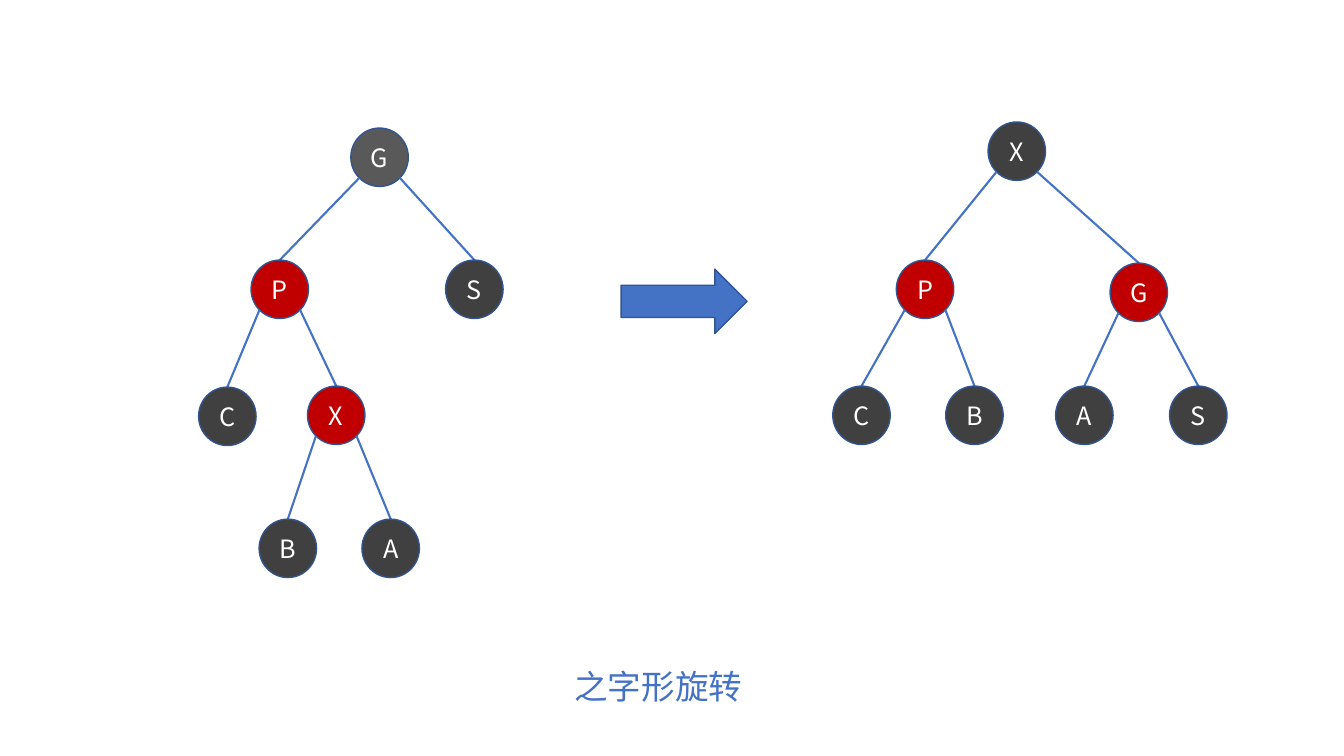
from dataclasses import dataclass
from math import sqrt
from typing import Optional

from lxml.etree import SubElement
from pptx import Presentation
from pptx.dml.color import RGBColor
from pptx.enum.shapes import MSO_CONNECTOR as Connector, MSO_SHAPE as Shape
from pptx.enum.text import MSO_ANCHOR as Anchor, MSO_AUTO_SIZE as AutoSize, PP_ALIGN as Align
from pptx.oxml.ns import qn
from pptx.util import Emu, Pt

PX = 9144
FONT = "Noto Sans CJK SC"
WHITE = RGBColor(0xFF, 0xFF, 0xFF)
BLUE = RGBColor(0x44, 0x72, 0xC4)
OUTLINE = RGBColor(0x32, 0x54, 0x91)
RED = RGBColor(0xC0, 0x00, 0x00)
BLACK = RGBColor(0x40, 0x40, 0x40)
GRAY = RGBColor(0x59, 0x59, 0x59)
NODE_WIDTH, NODE_HEIGHT = 57, 58


@dataclass(frozen=True)
class Node:
    label: str
    left: int
    top: int
    color: RGBColor = BLACK
    smaller: Optional["Node"] = None
    larger: Optional["Node"] = None


BEFORE = Node(
    "G", 348, 127, GRAY,
    Node("P", 249, 258, RED,
         Node("C", 197, 384),
         Node("X", 305, 383, RED, Node("B", 257, 515), Node("A", 359, 515))),
    Node("S", 442, 258),
)
AFTER = Node(
    "X", 980, 121, BLACK,
    Node("P", 889, 258, RED, Node("C", 826, 383), Node("B", 938, 383)),
    Node("G", 1101, 261, RED, Node("A", 1047, 383), Node("S", 1160, 383)),
)


def px(length: float) -> Emu:
    return Emu(round(length * PX))


def add_text(frame, text: str, size: int, color: RGBColor) -> None:
    para = frame.paragraphs[0]
    para.alignment = Align.CENTER
    span = para.add_run()
    span.text = text
    span.font.size = Pt(size)
    span.font.name = FONT
    span.font.color.rgb = color
    SubElement(span.font._element, qn("a:ea"), typeface=FONT)


def add_outlined(slide, kind: Shape, left: int, top: int, width: int, height: int,
                 color: RGBColor):
    shape = slide.shapes.add_shape(kind, px(left), px(top), px(width), px(height))
    shape.shadow.inherit = False
    shape.fill.solid()
    shape.fill.fore_color.rgb = color
    shape.line.color.rgb = OUTLINE
    shape.line.width = Pt(1)
    return shape


def add_edge(slide, parent: Node, child: Node, side: int) -> None:
    start_x = parent.left + NODE_WIDTH / 2 * (1 + side / sqrt(2))
    start_y = parent.top + NODE_HEIGHT / 2 * (1 + 1 / sqrt(2))
    edge = slide.shapes.add_connector(
        Connector.STRAIGHT, px(start_x), px(start_y),
        px(child.left + NODE_WIDTH / 2), px(child.top))
    edge.line.color.rgb = BLUE
    edge.line.width = Pt(1.5)
    SubElement(edge._element.spPr, qn("a:effectLst"))


def add_tree(slide, node: Node) -> None:
    circle = add_outlined(slide, Shape.OVAL, node.left, node.top,
                          NODE_WIDTH, NODE_HEIGHT, node.color)
    frame = circle.text_frame
    frame.margin_left = frame.margin_right = frame.margin_top = frame.margin_bottom = 0
    frame.vertical_anchor = Anchor.MIDDLE
    frame.word_wrap = False
    add_text(frame, node.label, 18, WHITE)
    for child, side in ((node.smaller, -1), (node.larger, 1)):
        if child:
            add_edge(slide, node, child, side)
            add_tree(slide, child)


def add_caption(slide, text: str) -> None:
    box = slide.shapes.title
    box.left, box.top, box.width, box.height = px(38), px(656), px(1230), px(50)
    frame = box.text_frame
    frame.word_wrap = True
    frame.auto_size = AutoSize.SHAPE_TO_FIT_TEXT
    frame.vertical_anchor = Anchor.TOP
    add_text(frame, text, 24, BLUE)


def main() -> None:
    deck = Presentation()
    deck.slide_width, deck.slide_height = px(1333), px(750)
    page = deck.slides.add_slide(deck.slide_layouts.get_by_name("Title Only"))
    for tree in (BEFORE, AFTER):
        add_tree(page, tree)
    add_outlined(page, Shape.RIGHT_ARROW, 616, 267, 125, 64, BLUE)
    add_caption(page, "之字形旋转")
    deck.save("out.pptx")


if __name__ == "__main__":
    main()
